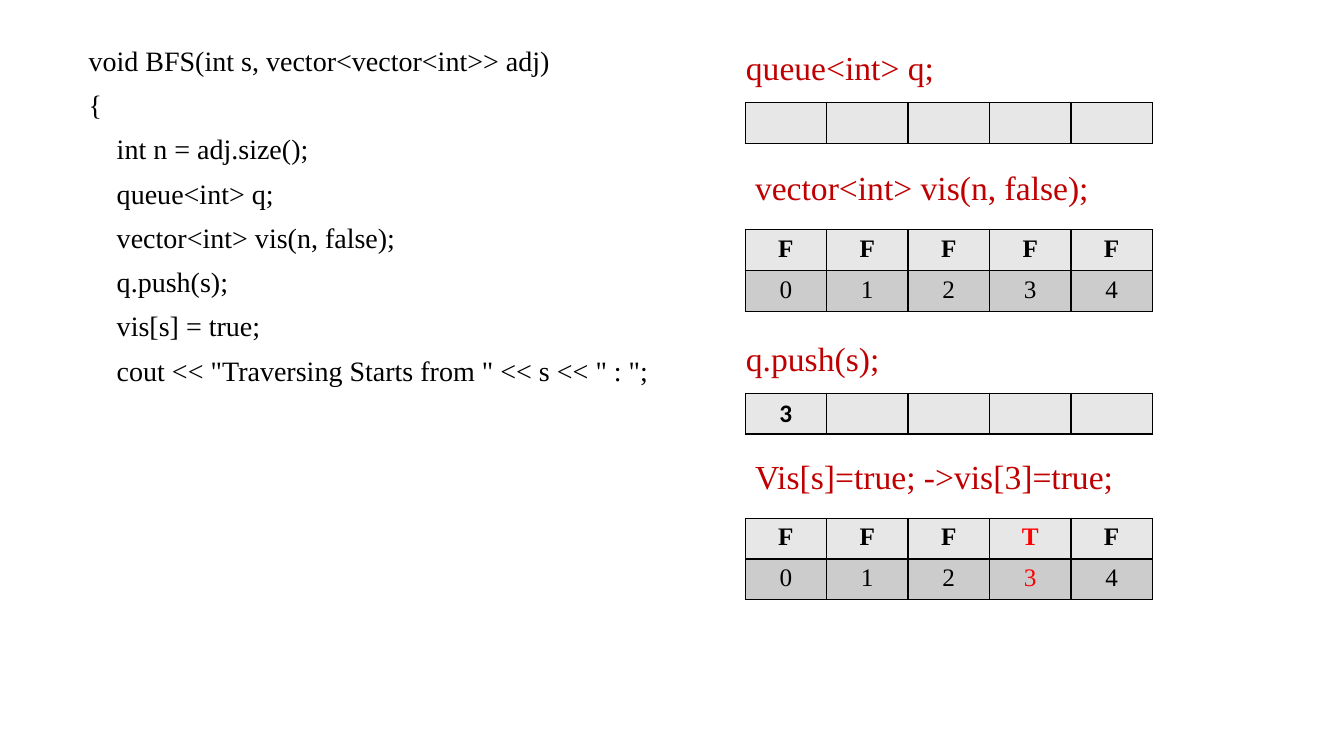
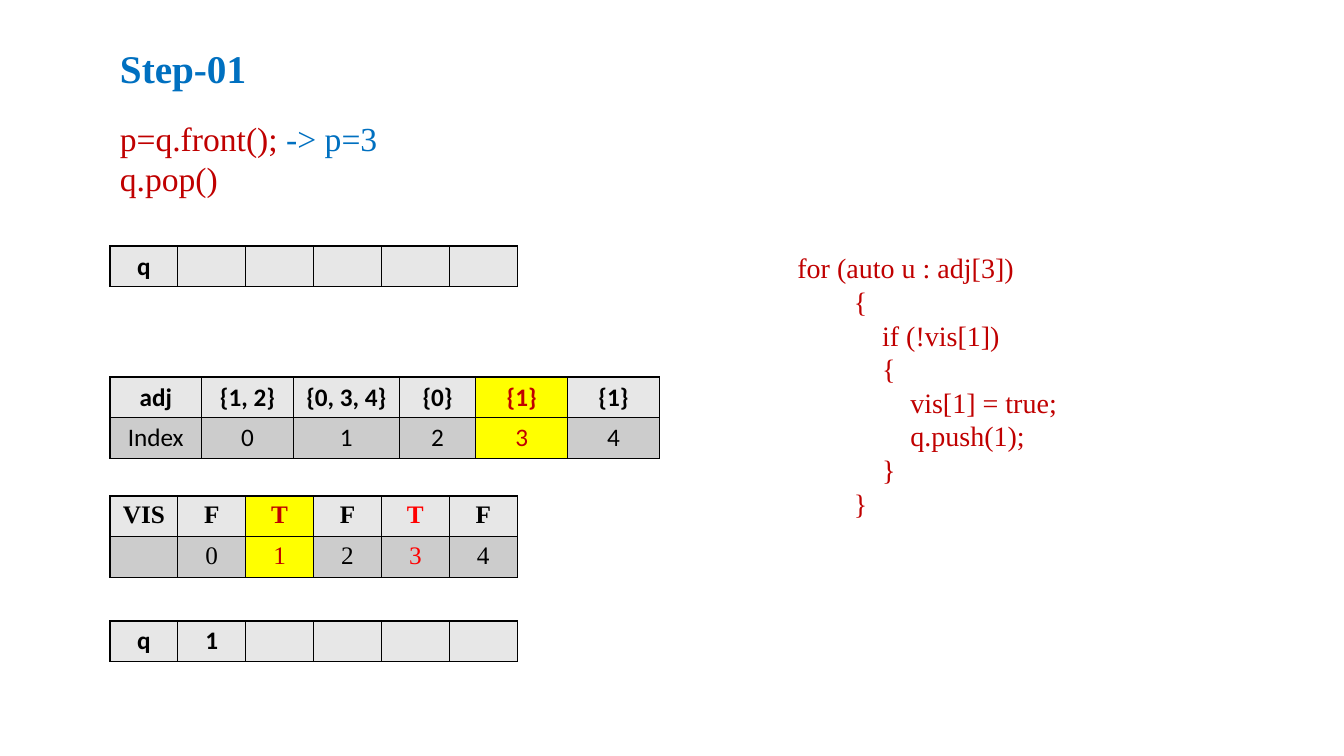
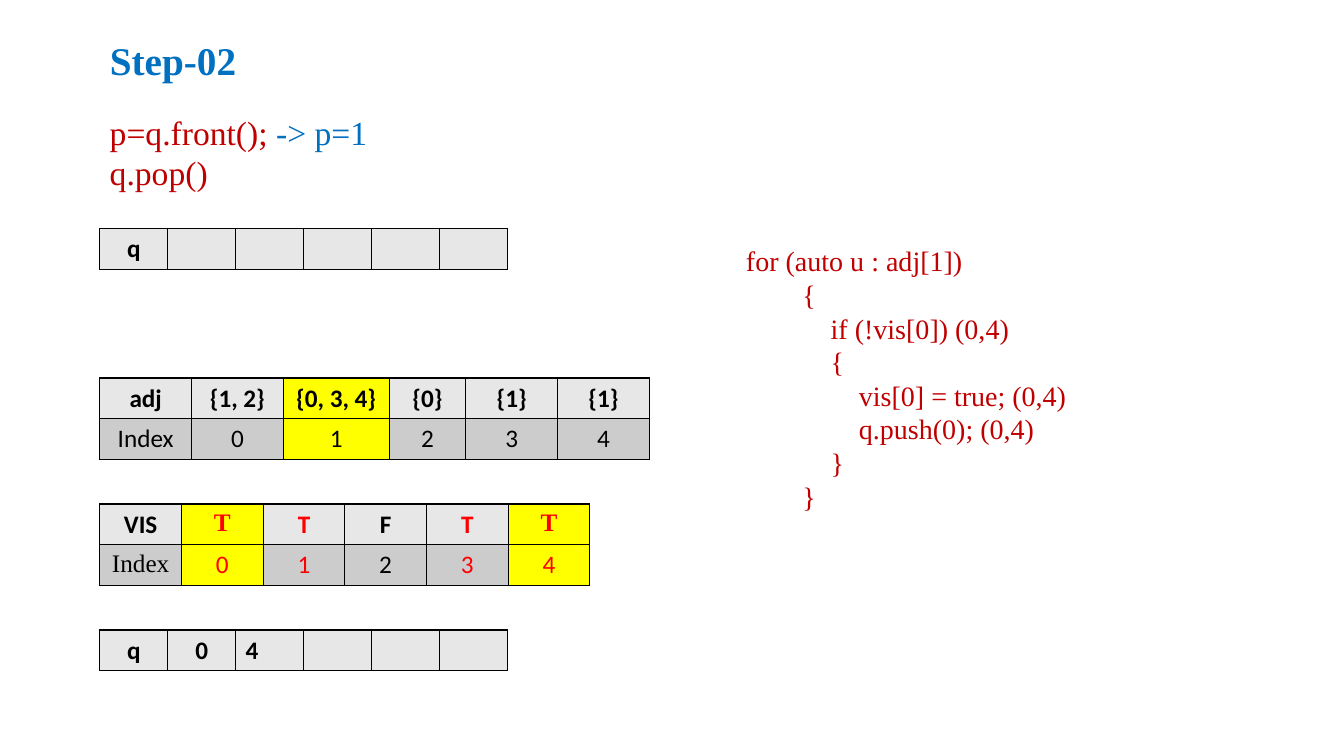
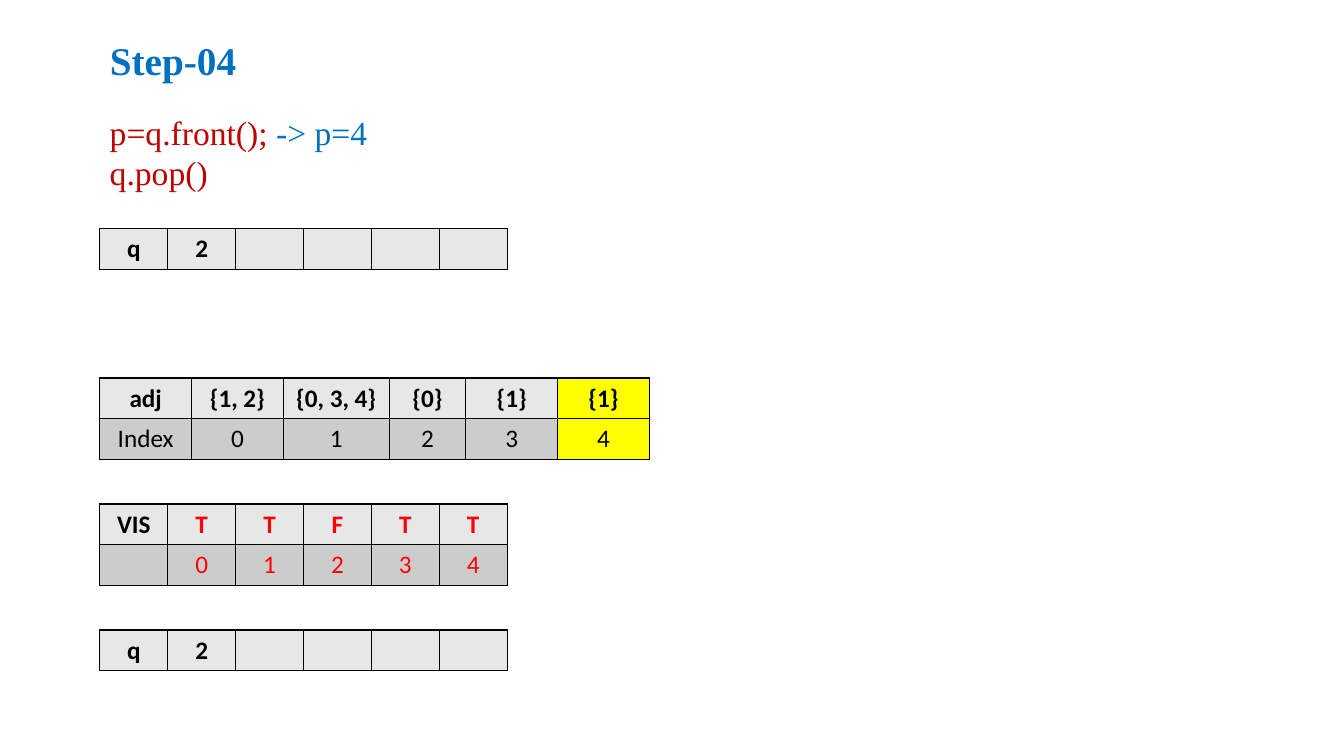
from dataclasses import dataclass

from lxml import etree
from pptx import Presentation
from pptx.dml.color import RGBColor
from pptx.enum.text import MSO_ANCHOR, MSO_AUTO_SIZE, PP_ALIGN
from pptx.oxml.ns import qn
from pptx.util import Inches, Pt


@dataclass(frozen=True)
class Theme:
    black: str = "000000"
    dark_red: str = "C00000"
    red: str = "FF0000"
    blue: str = "0070C0"
    yellow: str = "FFFF00"
    row_fills: tuple = ("E7E7E7", "CCCCCC")
    serif: str = "Times New Roman"
    sans: str = "Calibri"
    title_size: int = 28
    statement_size: int = 24
    code_size: int = 20
    table_size: int = 18
    border_width: int = 1
    row_pair_height: float = 0.81
    table_width: float = 4.04
    code_indent: float = 0.28


THEME = Theme()
TITLE_ONLY, BLANK = 5, 6
ADJACENCY_WIDTHS = (0.91, 0.91, 1.05, 0.76, 0.91, 0.91)
ADJACENCY_ROWS = (
    ("adj", "{1, 2}", "{0, 3, 4}", "{0}", "{1}", "{1}"),
    ("Index", "0", "1", "2", "3", "4"),
)
INDEXES = ("0", "1", "2", "3", "4")
BFS_CODE = (
    (0, "void BFS(int s, vector<vector<int>> adj)"),
    (0, "{"),
    (1, "int n = adj.size();"),
    (1, "queue<int> q;"),
    (1, "vector<int> vis(n, false);"),
    (1, "q.push(s);"),
    (1, "vis[s] = true;"),
    (1, 'cout << "Traversing Starts from " << s << " : ";'),
)


@dataclass(frozen=True)
class StepPlaces:
    """Left edge of a step slide and the top of each of its elements."""
    left: float
    title: float
    statements: float
    queue_before: float
    adjacency: float
    visited: float
    queue_after: float


FIRST_STEP = StepPlaces(1.09, 0.39, 1.12, 2.44, 3.74, 4.92, 6.16)
LATER_STEP = StepPlaces(0.99, 0.31, 1.06, 2.27, 3.75, 5, 6.25)


def write_text(paragraph, text, size=THEME.statement_size, color=THEME.dark_red,
               font=THEME.serif, bold=False, align=PP_ALIGN.LEFT):
    paragraph.alignment = align
    run = paragraph.add_run()
    run.text = text
    run.font.size = Pt(size)
    run.font.name = font
    run.font.bold = bold
    run.font.color.rgb = RGBColor.from_string(color)


def add_text_frame(slide, left, top, width, height):
    box = slide.shapes.add_textbox(
        Inches(left), Inches(top), Inches(width), Inches(height))
    box.text_frame.word_wrap = True
    return box.text_frame


def next_paragraph(frame, position):
    return frame.add_paragraph() if position else frame.paragraphs[0]


def add_statement(slide, left, top, width, text):
    frame = add_text_frame(slide, left, top, width, 0.5)
    write_text(frame.paragraphs[0], text)


def add_code(slide, left, top, width, height, lines, color=THEME.dark_red,
             line_spacing=1.0, space_before=0):
    """Write (indent level, text) pairs as code lines."""
    frame = add_text_frame(slide, left, top, width, height)
    for position, (level, text) in enumerate(lines):
        paragraph = next_paragraph(frame, position)
        paragraph.line_spacing = line_spacing
        paragraph.space_before = Pt(space_before)
        properties = paragraph._p.get_or_add_pPr()
        properties.set("marL", str(Inches(level * THEME.code_indent)))
        write_text(paragraph, text, size=THEME.code_size, color=color)


def set_borders(cell):
    properties = cell._tc.get_or_add_tcPr()
    for side in ("a:lnL", "a:lnR", "a:lnT", "a:lnB"):
        line = etree.SubElement(
            properties, qn(side), w=str(Pt(THEME.border_width)))
        fill = etree.SubElement(line, qn("a:solidFill"))
        etree.SubElement(fill, qn("a:srgbClr"), val=THEME.black)


def add_grid(slide, left, top, rows, widths=None, width=THEME.table_width,
             font=THEME.sans, colors=None, marked=(), serif_cells=(),
             left_cells=()):
    """Add a table; colors maps columns to text colours, marked columns are yellow."""
    colors = colors or {}
    count = len(rows[0])
    widths = widths or (width / count,) * count
    row_height = Inches(THEME.row_pair_height) // 2
    table = slide.shapes.add_table(
        len(rows), count, Inches(left), Inches(top),
        Inches(sum(widths)), row_height * len(rows)).table
    table.first_row = table.horz_banding = False
    for column, column_width in zip(table.columns, widths):
        column.width = Inches(column_width)
    for row, texts in enumerate(rows):
        table.rows[row].height = row_height
        for column, text in enumerate(texts):
            cell = table.cell(row, column)
            set_borders(cell)
            cell.fill.solid()
            cell.fill.fore_color.rgb = RGBColor.from_string(
                THEME.yellow if column in marked else THEME.row_fills[row])
            if text:
                place = (row, column)
                write_text(
                    cell.text_frame.paragraphs[0], text,
                    size=THEME.table_size, bold=row == 0,
                    color=colors.get(column, THEME.black),
                    font=THEME.serif if place in serif_cells else font,
                    align=PP_ALIGN.LEFT if place in left_cells
                    else PP_ALIGN.CENTER)


def add_queue(slide, left, top, items=(), label=("q",), **options):
    """Add a one-row queue with five slots after its label."""
    slots = tuple(items) + ("",) * (5 - len(items))
    add_grid(slide, left, top, (tuple(label) + slots,), **options)


def add_title(slide, left, top, text):
    title = slide.shapes.title
    title.left, title.top = Inches(left), Inches(top)
    title.width, title.height = Inches(3.71), Inches(0.57)
    frame = title.text_frame
    frame.vertical_anchor = MSO_ANCHOR.TOP
    frame.auto_size = MSO_AUTO_SIZE.NONE
    write_text(frame.paragraphs[0], text, size=THEME.title_size,
               color=THEME.blue, bold=True)


def add_step_slide(presentation, places, title, front, before, after,
                   adjacency, visited):
    """Add one step; before, after, adjacency and visited are table options."""
    slide = presentation.slides.add_slide(
        presentation.slide_layouts[TITLE_ONLY])
    left = places.left
    add_title(slide, left, places.title, title)
    frame = add_text_frame(slide, left, places.statements, 4.04, 0.91)
    write_text(frame.paragraphs[0], "p=q.front(); ")
    write_text(frame.paragraphs[0], f"-> p={front}", color=THEME.blue)
    write_text(frame.add_paragraph(), "q.pop()")
    add_queue(slide, left, places.queue_before, **before)
    add_grid(slide, left, places.adjacency, ADJACENCY_ROWS,
             widths=ADJACENCY_WIDTHS, **adjacency)
    add_grid(slide, left, places.visited, **visited)
    add_queue(slide, left, places.queue_after, **after)
    return slide


def visited_rows(flags, label="VIS", index_label=""):
    return (label, *flags), (index_label, *INDEXES)


def loop_code(node, neighbour, note=""):
    return (
        (0, f"for (auto u : adj[{node}])"),
        (2, "{"),
        (3, f"if (!vis[{neighbour}]){note}"),
        (3, "{"),
        (4, f"vis[{neighbour}] = true;{note}"),
        (4, f"q.push({neighbour});{note}"),
        (3, "}"),
        (2, "}"),
    )


def add_setup_slide(presentation):
    slide = presentation.slides.add_slide(presentation.slide_layouts[BLANK])
    add_code(slide, 0.78, 0.42, 11.5, 6.66, BFS_CODE, color=THEME.black,
             line_spacing=0.9, space_before=10)
    left = 7.39
    add_statement(slide, 7.3, 0.42, 3.06, "queue<int> q;")
    add_queue(slide, left, 1.02, label=())
    add_statement(slide, left, 1.61, 4.74, "vector<int> vis(n, false);")
    add_grid(slide, left, 2.28, (tuple("FFFFF"), INDEXES), font=THEME.serif)
    add_statement(slide, 7.3, 3.3, 3.06, "q.push(s);")
    add_queue(slide, left, 3.9, ("3",), label=())
    add_statement(slide, left, 4.47, 4.74, "Vis[s]=true; ->vis[3]=true;")
    add_grid(slide, left, 5.14, (tuple("FFFTF"), INDEXES), font=THEME.serif,
             colors={3: THEME.red})


def main():
    presentation = Presentation()
    presentation.slide_width = Inches(13.33)
    presentation.slide_height = Inches(7.5)
    add_setup_slide(presentation)

    first = add_step_slide(
        presentation, FIRST_STEP, "Step-01", front=3,
        before={}, after={"items": ("1",)},
        adjacency={"colors": {4: THEME.dark_red}, "marked": (4,)},
        visited={"rows": visited_rows("FTFTF"), "font": THEME.serif,
                 "colors": {2: THEME.dark_red, 4: THEME.red}, "marked": (2,)})
    add_code(first, 7.81, 2.44, 4.62, 3.13, loop_code(3, 1))

    second = add_step_slide(
        presentation, LATER_STEP, "Step-02", front=1,
        before={}, after={"items": ("0", "4"), "left_cells": ((0, 2),)},
        adjacency={"marked": (2,)},
        visited={"rows": visited_rows("TTFTT", index_label="Index"),
                 "width": 4.86, "marked": (1, 5),
                 "colors": dict.fromkeys((1, 2, 4, 5), THEME.red),
                 "serif_cells": ((0, 1), (0, 5), (1, 0))})
    add_code(second, 7.3, 2.37, 4.62, 3.13, loop_code(1, 0, note=" (0,4)"))

    add_step_slide(
        presentation, LATER_STEP, "Step-04", front=4,
        before={"items": ("2",)}, after={"items": ("2",)},
        adjacency={"marked": (5,)},
        visited={"rows": visited_rows("TTFTT"),
                 "colors": dict.fromkeys(range(1, 6), THEME.red)})
    presentation.save("out.pptx")


if __name__ == "__main__":
    main()
